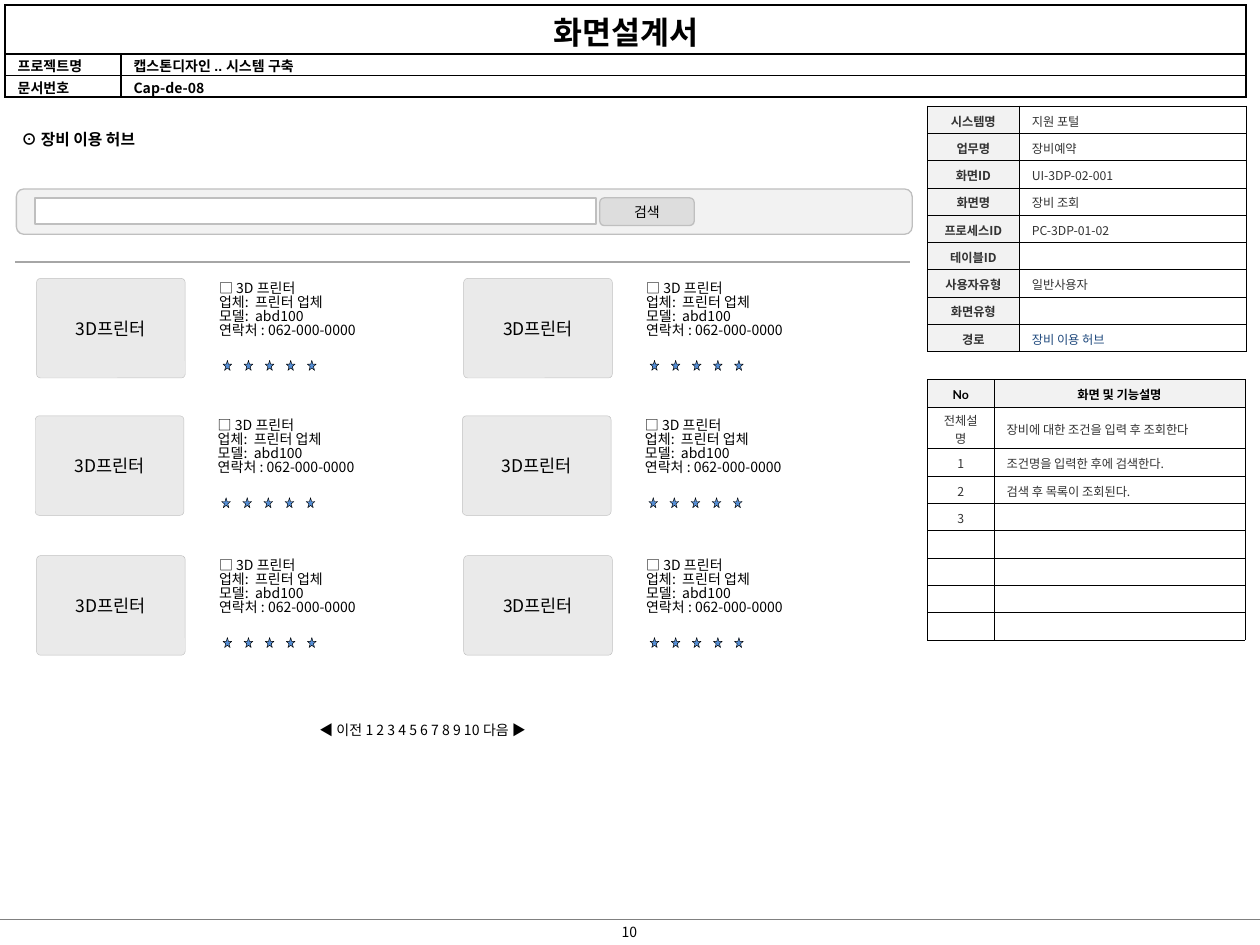
from dataclasses import dataclass
from lxml.etree import SubElement
from pptx import Presentation
from pptx.dml.color import RGBColor
from pptx.enum.shapes import MSO_CONNECTOR, MSO_SHAPE
from pptx.enum.text import MSO_ANCHOR, PP_ALIGN
from pptx.oxml.ns import qn
from pptx.util import Inches, Pt


@dataclass(frozen=True)
class Theme:
    face: str = "Noto Sans CJK KR"
    plain: str = "Arial"
    latin: str = "Lato"
    black: str = "000000"
    white: str = "FFFFFF"
    text: str = "333333"
    link: str = "1F497D"
    head: str = "F2F2F2"
    edge: str = "BFBFBF"
    button: str = "DDDDDD"
    card: str = "EAEAEA"
    frame: str = "C0C0C0"
    star: str = "558ED5"
    rule: str = "A6A6A6"
    foot: str = "808080"
    banner: float = 18
    label: float = 10
    title: float = 9
    body: float = 8
    small: float = 7


T = Theme()
INFO = [
    ("시스템명", "지원 포털"), ("업무명", "장비예약"),
    ("화면ID", "UI-3DP-02-001"), ("화면명", "장비 조회"),
    ("프로세스ID", "PC-3DP-01-02"), ("테이블ID", ""),
    ("사용자유형", "일반사용자"), ("화면유형", ""), ("경로", "장비 이용 허브"),
]
NOTES = [
    ("No", "화면 및 기능설명"),
    ("전체설명", "장비에 대한 조건을 입력 후 조회한다"),
    ("1", "조건명을 입력한 후에 검색한다."),
    ("2", "검색 후 목록이 조회된다."),
    ("3", ""),
] + [("", "")] * 4
FACTS = "□ 3D 프린터\n업체:  프린터 업체\n모델:  abd100\n연락처 : 062-000-0000"


def color(code):
    return RGBColor.from_string(code)


def box(x, y, w, h):
    return [Inches(v) for v in (x, y, w, h)]


def write(frame, text, size, ink=T.black, bold=False, face=T.face,
          align=PP_ALIGN.LEFT, gap=None):
    frame.text = text
    for para in frame.paragraphs:
        para.alignment = align
        para.line_spacing = gap
        for run in para.runs:
            font = run.font
            font.size, font.bold = Pt(size), bold
            font.color.rgb = color(ink)
            font.name = face
            SubElement(run._r.rPr, qn("a:ea"), typeface=T.face)
        if not para.runs:
            SubElement(para._p, qn("a:endParaRPr"), sz=str(int(size * 100)))


def label(shapes, x, y, w, h, text, size, wrap=True, **look):
    frame = shapes.add_textbox(*box(x, y, w, h)).text_frame
    frame.word_wrap = wrap
    write(frame, text, size, **look)


def block(shapes, kind, x, y, w, h, fill, edge, width):
    shape = shapes.add_shape(kind, *box(x, y, w, h))
    shape.shadow.inherit = False
    shape.fill.solid()
    shape.fill.fore_color.rgb = color(fill)
    shape.line.color.rgb = color(edge)
    shape.line.width = Pt(width)
    return shape


def caption(shape, text, size, face=T.face):
    frame = shape.text_frame
    frame.margin_top = frame.margin_bottom = 0
    frame.word_wrap = False
    frame.vertical_anchor = MSO_ANCHOR.MIDDLE
    write(frame, text, size, face=face, align=PP_ALIGN.CENTER)


def rule(shapes, x, y, w, ink):
    line = shapes.add_connector(
        MSO_CONNECTOR.STRAIGHT, Inches(x), Inches(y), Inches(x + w), Inches(y))
    line.line.color.rgb = color(ink)
    line.line.width = Pt(0.75)
    SubElement(line._element.spPr, qn("a:effectLst"))


def border(cell, width):
    props = cell._tc.get_or_add_tcPr()
    for spot, side in enumerate(("lnL", "lnR", "lnT", "lnB")):
        line = SubElement(props, qn(f"a:{side}"), w=str(Pt(width)))
        fill = SubElement(line, qn("a:solidFill"))
        SubElement(fill, qn("a:srgbClr"), val=T.black)
        props.insert(spot, line)


def grid(shapes, x, y, cols, rows, width, pad):
    table = shapes.add_table(
        len(rows), len(cols), *box(x, y, sum(cols), sum(rows))).table
    table.first_row = table.horz_banding = False
    for col, size in zip(table.columns, cols):
        col.width = Inches(size)
    for row, size in zip(table.rows, rows):
        row.height = Inches(size)
    for cell in table.iter_cells():
        cell.margin_top, cell.margin_bottom = Inches(pad), 0
        cell.vertical_anchor = MSO_ANCHOR.MIDDLE
        cell.fill.background()
        border(cell, width)
    return table


def paint(cell, fill):
    cell.fill.solid()
    cell.fill.fore_color.rgb = color(fill)


def header(shapes, x, y):
    table = grid(shapes, x, y, (0.92, 8.93), (0.39, 0.17, 0.17), 1, 0.01)
    table.cell(0, 0).merge(table.cell(0, 1))
    for cell in table.iter_cells():
        paint(cell, T.white)
    write(table.cell(0, 0).text_frame, "화면설계서", T.banner, bold=True,
          align=PP_ALIGN.CENTER)
    rows = (("프로젝트명", "캡스톤디자인 .. 시스템 구축", T.plain),
            ("문서번호", "Cap-de-08", T.face))
    for row, (name, value, face) in enumerate(rows, 1):
        write(table.cell(row, 0).text_frame, name, T.body, bold=True,
              face=T.plain)
        write(table.cell(row, 1).text_frame, value, T.body, bold=True,
              face=face)


def info(shapes, x, y, h):
    table = grid(shapes, x, y, (0.73, 1.8), [h / len(INFO)] * len(INFO),
                 0.25, 0.02)
    for row, (name, value) in enumerate(INFO):
        left, right = table.cell(row, 0), table.cell(row, 1)
        paint(left, T.head)
        write(left.text_frame, name, T.small, T.text, True,
              align=PP_ALIGN.CENTER)
        write(right.text_frame, value, T.small,
              T.link if name == "경로" else T.text)


def notes(shapes, x, y, h):
    top, tall = 0.22, 0.33
    rest = len(NOTES) - 2
    rows = [top, tall] + [(h - top - tall) / rest] * rest
    table = grid(shapes, x, y, (0.53, 1.99), rows, 0.25, 0.02)
    for row, pair in enumerate(NOTES):
        for col, text in enumerate(pair):
            cell = table.cell(row, col)
            mid = PP_ALIGN.CENTER if row == 0 or col == 0 else PP_ALIGN.LEFT
            if row == 0:
                paint(cell, T.head)
                write(cell.text_frame, text, T.small, bold=True,
                      face=(T.latin, T.plain)[col], align=mid)
            else:
                write(cell.text_frame, text, T.small, T.text, align=mid)


def search(shapes, x, y):
    group = shapes.add_group_shape().shapes
    block(group, MSO_SHAPE.ROUNDED_RECTANGLE, x, y, 7.11, 0.36,
          T.head, T.edge, 0.75)
    button = block(group, MSO_SHAPE.FLOWCHART_ALTERNATE_PROCESS,
                   x + 4.63, y + 0.07, 0.75, 0.22, T.button, T.edge, 0.75)
    caption(button, "검색", T.body, T.plain)
    block(group, MSO_SHAPE.RECTANGLE, x + 0.15, y + 0.07, 4.45, 0.21,
          T.white, T.edge, 1)


def card(shapes, x, y):
    group = shapes.add_group_shape().shapes
    label(group, x + 1.35, y - 0.02, 1.47, 0.77, FACTS, T.body, gap=0.83)
    tile = block(group, MSO_SHAPE.ROUNDED_RECTANGLE, x, y, 1.18, 0.79,
                 T.card, T.frame, 0.25)
    tile.adjustments[0] = 0.04
    caption(tile, "3D프린터", T.label)
    for star in range(5):
        block(group, MSO_SHAPE.STAR_5_POINT, x + 1.48 + star * 0.67 / 4,
              y + 0.65, 0.07, 0.08, T.star, T.black, 0.25)


def heading(shape, x, y, w, h):
    shape.left, shape.top, shape.width, shape.height = box(x, y, w, h)
    frame = shape.text_frame
    frame.word_wrap = False
    frame.vertical_anchor = MSO_ANCHOR.MIDDLE
    write(frame, "⊙ 장비 이용 허브", T.title, bold=True)


def main():
    deck = Presentation()
    deck.slide_width, deck.slide_height = Inches(10), Inches(7.5)
    shapes = deck.slides.add_slide(deck.slide_layouts[5]).shapes
    rule(shapes, 0, 7.3, 10, T.foot)
    label(shapes, 4.72, 7.28, 0.55, 0.24, "10", T.body, align=PP_ALIGN.CENTER)
    header(shapes, 0.04, 0.04)
    search(shapes, 0.13, 1.5)
    heading(shapes.title, 0.07, 0.98, 1.14, 0.25)
    label(shapes, 2.32, 5.68, 2.07, 0.24, "◀ 이전 1 2 3 4 5 6 7 8 9 10 다음 ▶",
          T.body, wrap=False, align=PP_ALIGN.CENTER)
    notes(shapes, 7.36, 3.01, 2.07)
    info(shapes, 7.36, 0.84, 1.95)
    rule(shapes, 0.12, 2.08, 7.1, T.rule)
    for x, y in ((0.29, 2.21), (0.28, 3.3), (0.29, 4.41)):
        for col in range(2):
            card(shapes, x + 3.39 * col, y)
    deck.save("out.pptx")


if __name__ == "__main__":
    main()
